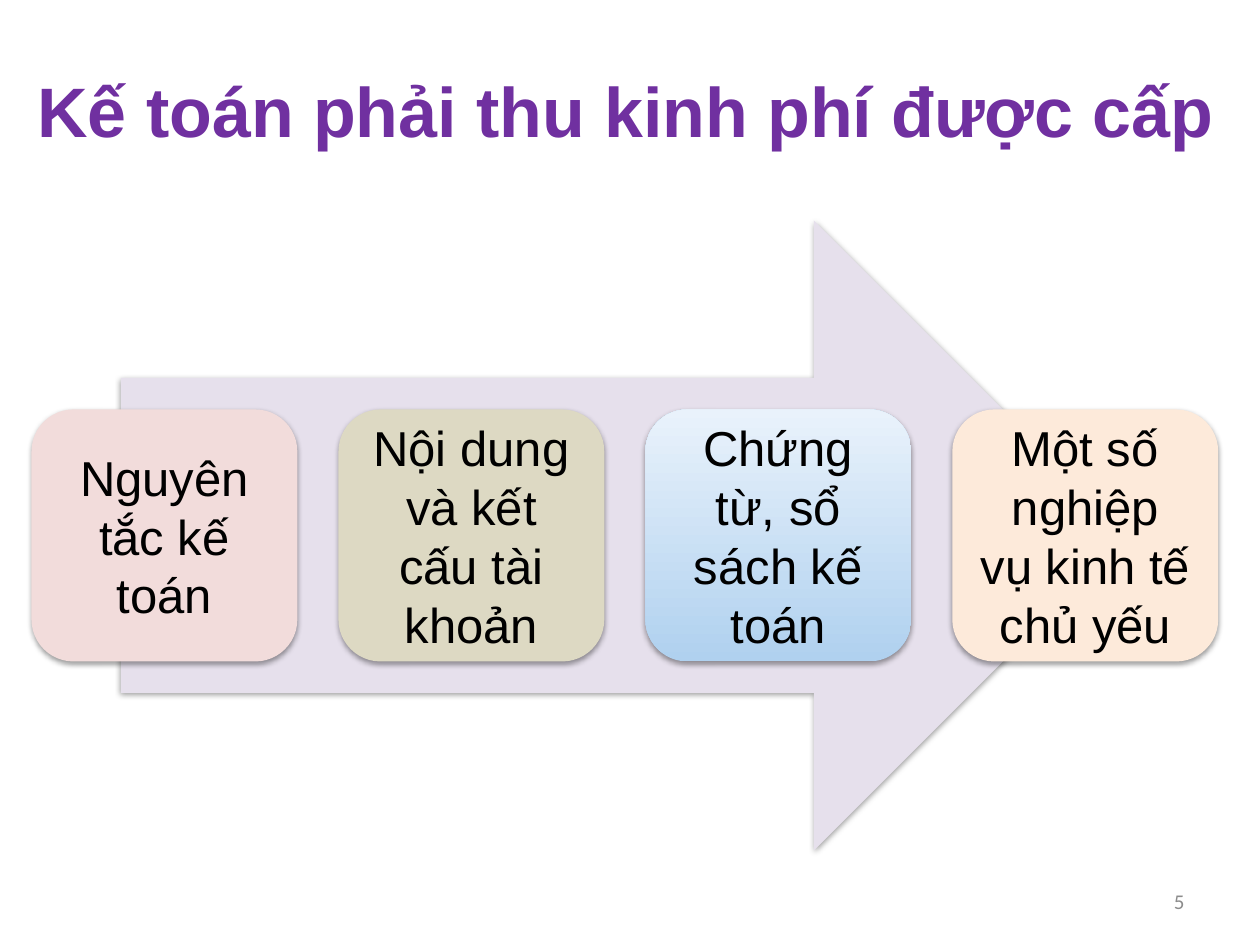
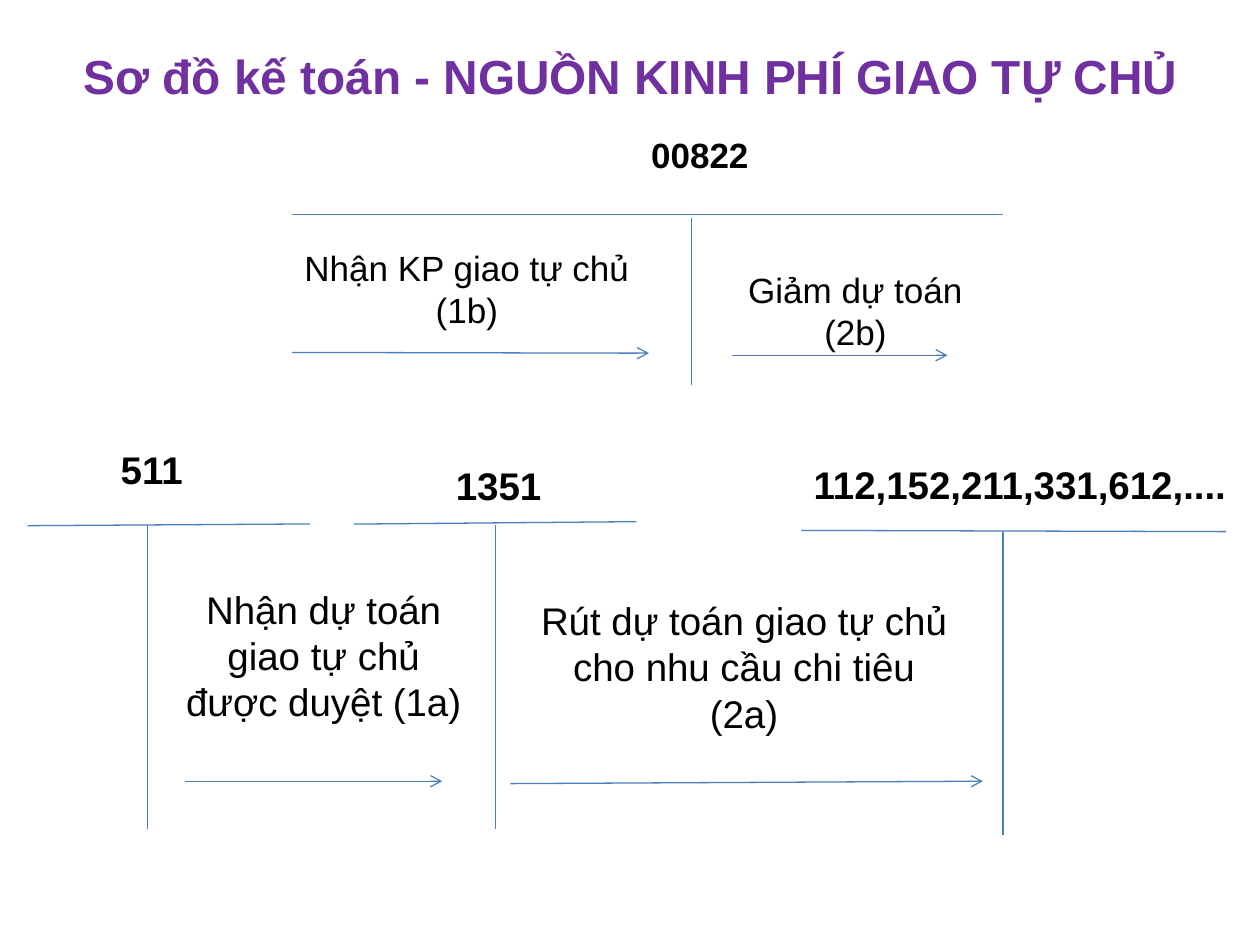
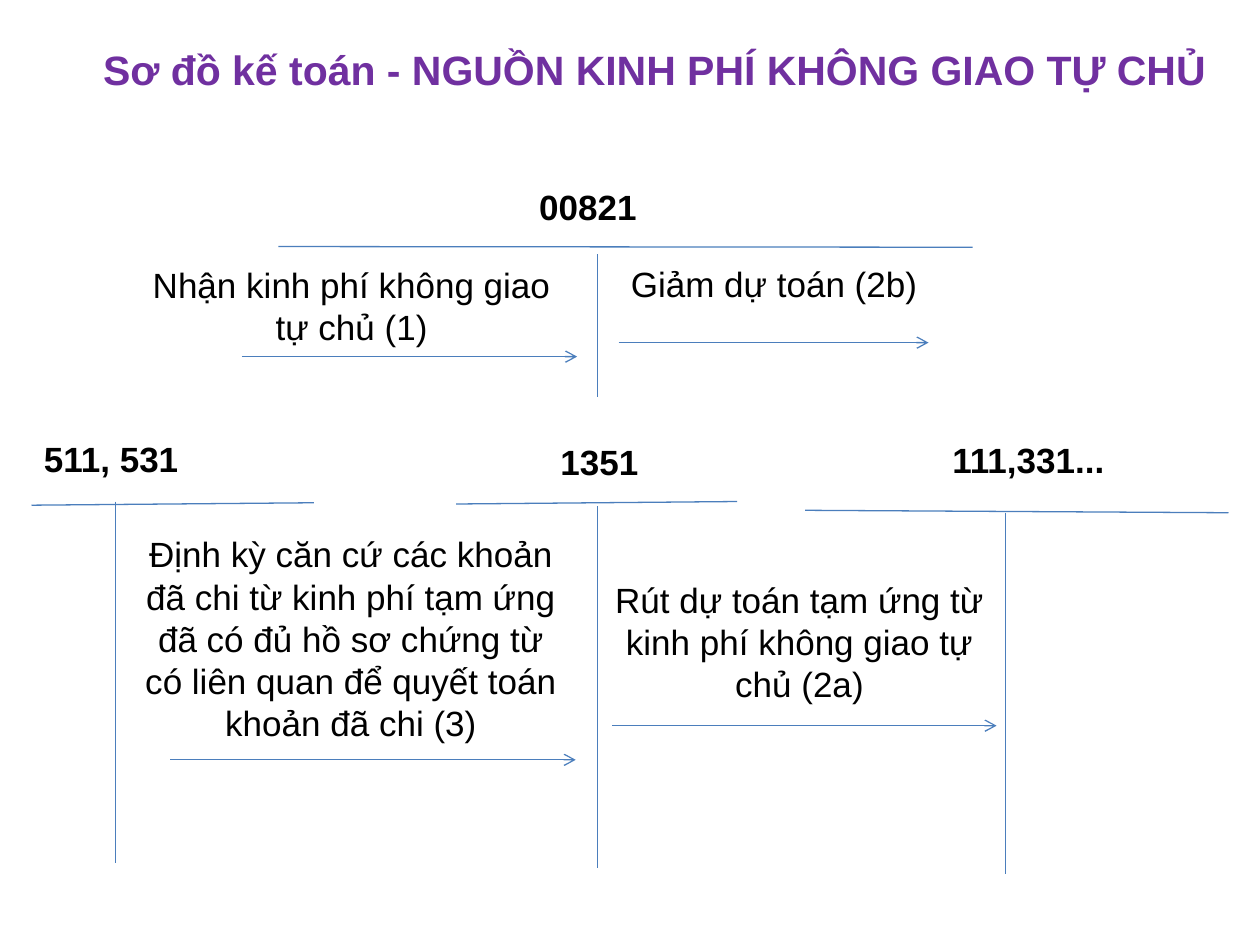
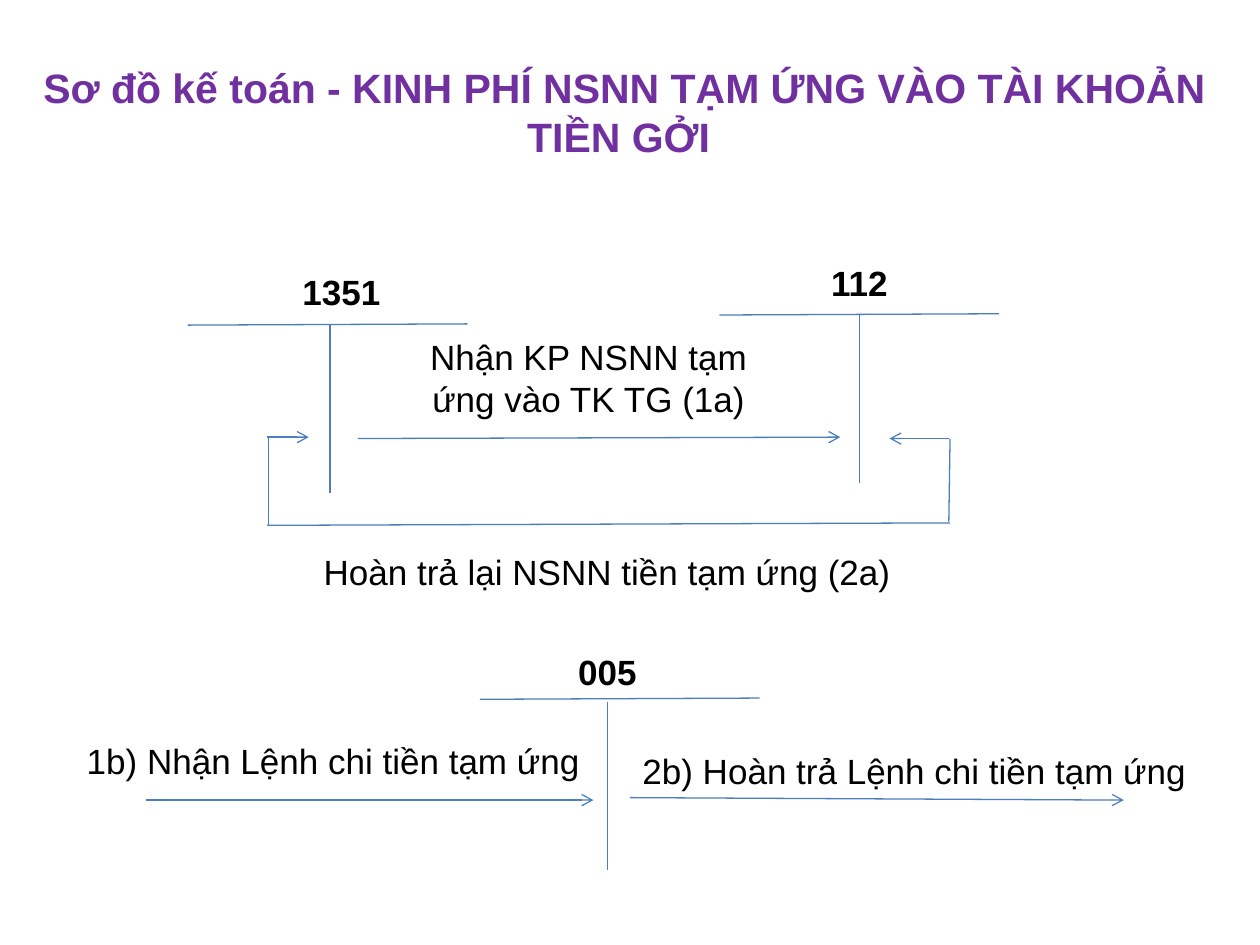
"""Build four slides on accounting for granted funds."""
from lxml import etree
from pptx import Presentation
from pptx.dml.color import RGBColor
from pptx.enum import shapes, text
from pptx.oxml import ns
from pptx.util import Pt

HUES = {
    "title": "7030A0", "ink": "000000", "page": "8C8C8C", "line": "4B7EBC",
    "arrow": "E6E0EC", "rose": "F2DCDB", "sand": "DDD9C3",
    "deep": "B0D1EF", "pale": "E9F2FB", "peach": "FDEADA",
}
ALIGN = {"l": text.PP_ALIGN.LEFT, "c": text.PP_ALIGN.CENTER, "r": text.PP_ALIGN.RIGHT}
ANCHOR = {"t": text.MSO_ANCHOR.TOP, "m": text.MSO_ANCHOR.MIDDLE, "b": text.MSO_ANCHOR.BOTTOM}


def hue(name):
    """Return a named colour."""
    return RGBColor.from_string(HUES[name])


def pts(nums):
    """Turn numbers into point lengths."""
    return [Pt(num) for num in nums]


def write(frame, words, size=20, bold=False, color="ink", font="Arial",
          align="c", anchor="t", wrap=True, space=None):
    """Fill a text frame with one formatted paragraph."""
    frame.auto_size = text.MSO_AUTO_SIZE.NONE
    frame.word_wrap = wrap
    frame.vertical_anchor = ANCHOR[anchor]
    para = frame.paragraphs[0]
    para.text = words
    para.alignment = ALIGN[align]
    if space:
        para.line_spacing = space
    para.font.size, para.font.bold, para.font.name = Pt(size), bold, font
    para.font.color.rgb = hue(color)


def label(slide, words, box, **form):
    """Add a text box."""
    write(slide.shapes.add_textbox(*pts(box)).text_frame, words, **form)


def start(deck, words, box, size):
    """Add a slide with its title."""
    slide = deck.slides.add_slide(deck.slide_layouts[5])
    head = slide.shapes.title
    head.left, head.top, head.width, head.height = pts(box)
    write(head.text_frame, words, size=size, bold=True, color="title", anchor="b")
    return slide


def block(slide, kind, box, *fills):
    """Add a softly shadowed shape with a plain or two-colour fill."""
    shape = slide.shapes.add_shape(kind, *pts(box))
    shape.line.fill.background()
    if len(fills) == 1:
        shape.fill.solid()
        shape.fill.fore_color.rgb = hue(fills[0])
    else:
        shape.fill.gradient()
        shape.fill.gradient_angle = 90
        for stop, name in zip(shape.fill.gradient_stops, fills):
            stop.color.rgb = hue(name)
    shape.shadow.inherit = False
    effect = shape._element.spPr.find(ns.qn("a:effectLst"))
    cast = etree.SubElement(effect, ns.qn("a:outerShdw"), blurRad=str(Pt(3.1)),
                            dist=str(Pt(1.6)), dir="5400000", rotWithShape="0")
    tint = etree.SubElement(cast, ns.qn("a:srgbClr"), val=HUES["ink"])
    etree.SubElement(tint, ns.qn("a:alpha"), val="38000")
    return shape


def rule(slide, ends, arrow=False):
    """Draw a thin line, with an arrowhead at its end if asked."""
    line = slide.shapes.add_connector(shapes.MSO_CONNECTOR.STRAIGHT, *pts(ends))
    line.line.width = Pt(0.75)
    line.line.color.rgb = hue("line")
    if arrow:
        etree.SubElement(line.line._get_or_add_ln(), ns.qn("a:tailEnd"), type="arrow")
    etree.SubElement(line._element.spPr, ns.qn("a:effectLst"))


def ledger(slide, name, box, bar, stem, **form):
    """Draw a T account: its number, top bar and stem (x, top, bottom)."""
    label(slide, name, box, bold=True, **form)
    rule(slide, bar)
    mid, top, low = stem
    rule(slide, (mid, top, mid, low))


def flow(slide, words, box, ends, **form):
    """Add an entry's text with its arrow."""
    label(slide, words, box, **form)
    rule(slide, ends, arrow=True)


def outline(deck):
    """Build the overview of topics."""
    slide = start(deck, "Kế toán phải thu kinh phí được cấp", (0, 15.1, 715, 74.9), 40)
    block(slide, shapes.MSO_SHAPE.RIGHT_ARROW, (69.1, 126, 576, 360), "arrow")
    cards = [
        ("Nguyên tắc kế toán", ["rose"]),
        ("Nội dung và kết cấu tài khoản", ["sand"]),
        ("Chứng từ, sổ sách kế toán", ["deep", "pale"]),
        ("Một số nghiệp vụ kinh tế chủ yếu", ["peach"]),
    ]
    for num, (words, fills) in enumerate(cards):
        card = block(slide, shapes.MSO_SHAPE.ROUNDED_RECTANGLE,
                     (18 + num * 175.4, 234, 151.9, 144), *fills)
        frame = card.text_frame
        frame.margin_left = frame.margin_right = Pt(8.6)
        frame.margin_top = frame.margin_bottom = Pt(8.6)
        write(frame, words, size=28, anchor="m")
    label(slide, "5", (516.2, 500.4, 167.8, 28.8), size=12, font="Calibri",
          color="page", align="r", anchor="m")


def granted(deck):
    """Build the entries for self-managed funds."""
    slide = start(deck, "Sơ đồ kế toán - NGUỒN KINH PHÍ GIAO TỰ CHỦ",
                  (15.8, 18.7, 689, 44.6), 27.3)
    ledger(slide, "00822", (365, 72.7, 95.8, 34.6), (167, 122.4, 573.1, 122.4),
           (395.3, 124.6, 220.3), align="l", wrap=False)
    flow(slide, "Nhận KP giao tự chủ (1b)", (162.7, 137.5, 208.1, 55.4),
         (167, 201.4, 370.8, 201.8))
    flow(slide, "Giảm dự toán (2b)", (404.6, 149.8, 168.5, 55.4),
         (418.3, 203, 541.4, 203))
    form = {"size": 22, "align": "l"}
    ledger(slide, "112,152,211,331,612,....", (457.9, 259.9, 272.2, 33.8),
           (457.9, 303.1, 700.6, 303.8), (573.1, 303.8, 477.4), **form)
    ledger(slide, "511", (61.9, 251.3, 50.4, 33.8), (15.8, 300.4, 177.1, 299.4),
           (84.2, 300.2, 473.8), wrap=False, **form)
    ledger(slide, "1351", (253.4, 260.6, 64.1, 33.8), (202.3, 299.5, 363.6, 298.1),
           (283, 300.2, 473.8), wrap=False, **form)
    flow(slide, "Nhận dự toán giao tự chủ được duyệt (1a)", (95, 331.2, 180, 87.1),
         (105.8, 446.4, 252.7, 446.4), size=22)
    flow(slide, "Rút dự toán giao tự chủ cho nhu cầu chi tiêu (2a)",
         (301.7, 337.7, 247, 87.1), (291.6, 447.8, 561.6, 446.4), size=22)


def bound(deck):
    """Build the entries for funds that are not self-managed."""
    slide = start(deck, "Sơ đồ kế toán - NGUỒN KINH PHÍ KHÔNG GIAO TỰ CHỦ",
                  (29.5, 10.1, 689, 46.8), 23.4)
    ledger(slide, "00821", (301, 102.2, 88.6, 29.5), (159.1, 140.9, 555.8, 141.3),
           (341.3, 145.4, 226.8), align="l", wrap=False)
    flow(slide, "Nhận kinh phí không giao tự chủ (1)", (70.6, 146.9, 260.6, 55.4),
         (138.2, 203.8, 329.8, 203.8))
    flow(slide, "Giảm dự toán (2b)", (346.3, 146.2, 192.2, 52.6),
         (353.5, 195.8, 530.6, 195.8))
    ledger(slide, "111,331...", (537.1, 247, 118.8, 31.7),
           (460.1, 291.6, 702, 293), (574.6, 293, 499.7), align="l")
    ledger(slide, "511, 531", (18, 246.2, 105.1, 31.7),
           (18, 288.7, 179.3, 287.3), (66.2, 286.6, 493.2), align="l")
    ledger(slide, "1351", (313.2, 248.4, 76.3, 31.7),
           (260.6, 288, 421.2, 286.6), (341.3, 289.4, 496.1), align="l")
    flow(slide, "Rút dự toán tạm ứng từ kinh phí không giao tự chủ (2a)",
         (342, 326.9, 229.7, 79.9), (349.9, 414.7, 569.5, 414.7))
    flow(slide, "Định kỳ căn cứ các khoản đã chi từ kinh phí tạm ứng đã có đủ hồ sơ "
         "chứng từ có liên quan để quyết toán khoản đã chi (3)",
         (74.9, 301, 251.3, 128.2), (97.2, 434.2, 329, 434.2))


def advance(deck):
    """Build the entries for budget advances."""
    slide = start(deck, "Sơ đồ kế toán - KINH PHÍ NSNN TẠM ỨNG VÀO TÀI KHOẢN TIỀN GỞI ",
                  (11.5, 30.2, 690.5, 65.5), 23.4)
    names = [
        ("1351", (138.2, 139), (107.3, 185.8), (188.6, 185.8)),
        ("112", (434.2, 133.9), (411.1, 180), (491, 180)),
        ("005", (290.2, 356.4), (274.3, 399.6), (347, 401)),
    ]
    for name, spot, (left, top), (mid, high) in names:
        ledger(slide, name, (*spot, 113.8, 38.9), (left, top, left + 159.8, top - 0.7),
               (mid, high, high + 96), space=1.5)
    flow(slide, "Nhận KP NSNN tạm ứng vào TK TG (1a)", (218.2, 187.9, 236.2, 55.4),
         (204.5, 250.6, 480.2, 249.8))
    label(slide, "Hoàn trả lại NSNN tiền tạm ứng (2a)", (150.5, 298.8, 393.1, 40.3),
          space=1.5)
    for ends in [(152.6, 300.2, 542.9, 298.8), (542.2, 298.1, 542.9, 250.6),
                 (153.4, 249.8, 153.4, 300.2)]:
        rule(slide, ends)
    for ends in [(152.6, 249.8, 176.4, 249.8), (542.2, 250.6, 508.3, 250.6)]:
        rule(slide, ends, arrow=True)
    flow(slide, "1b) Nhận Lệnh chi tiền tạm ứng", (42.5, 419, 298.1, 31.7),
         (83.5, 457.2, 339.1, 457.2), align="l", wrap=False)
    flow(slide, "2b) Hoàn trả Lệnh chi tiền tạm ứng", (360, 424.8, 327.6, 31.7),
         (360, 455.8, 642.2, 457.2), align="l", wrap=False)


def main():
    """Build and save the deck."""
    deck = Presentation()
    deck.slide_width, deck.slide_height = Pt(720), Pt(540)
    for build in (outline, granted, bound, advance):
        build(deck)
    deck.save("out.pptx")


if __name__ == "__main__":
    main()
